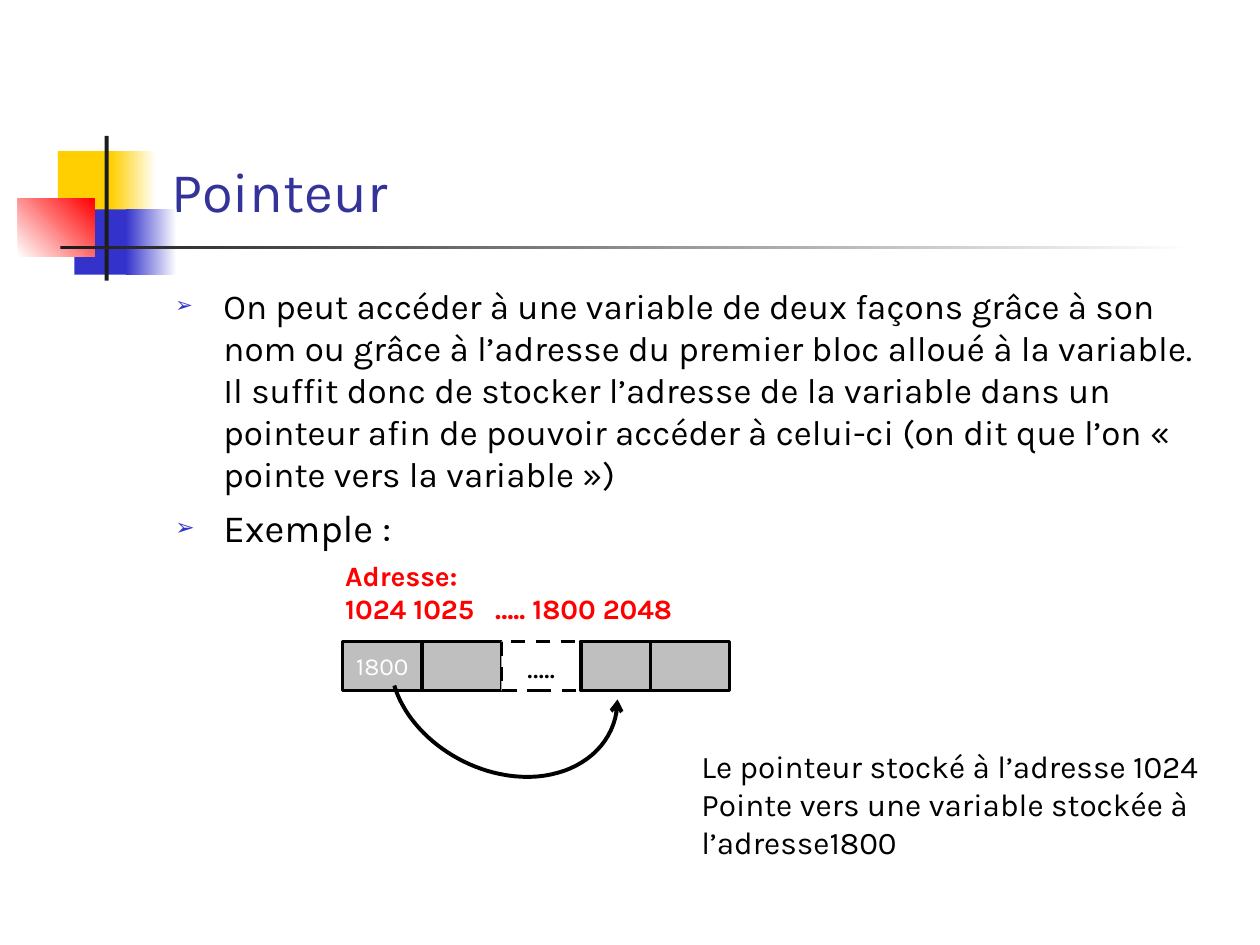
from dataclasses import dataclass
from typing import Optional

import pptx
import pptx.dml.color
import pptx.enum.dml
import pptx.enum.shapes
import pptx.enum.text
import pptx.oxml.ns
import pptx.util
from lxml import etree

Cm = pptx.util.Cm
Pt = pptx.util.Pt
RGBColor = pptx.dml.color.RGBColor
Anchor = pptx.enum.text.MSO_ANCHOR
Align = pptx.enum.text.PP_ALIGN
AutoSize = pptx.enum.text.MSO_AUTO_SIZE
qn = pptx.oxml.ns.qn

FONT = "Karla"
WHITE = RGBColor(0xFF, 0xFF, 0xFF)
BLACK = RGBColor(0, 0, 0)
CHARCOAL = RGBColor(0x1C, 0x1C, 0x1C)
YELLOW = RGBColor(0xFF, 0xCF, 0x01)
BLUE = RGBColor(0x33, 0x33, 0xCC)
RED = RGBColor(0xFF, 0, 0)
INDIGO = RGBColor(0x33, 0x33, 0x99)
GREY = RGBColor(0xBF, 0xBF, 0xBF)

CELL_TOP, CELL_WIDTH, CELL_HEIGHT = 12.93, 1.6, 0.99
CURVE_STEPS = 24


@dataclass
class Ornament:
    left: float
    top: float
    width: float
    height: float
    color: RGBColor
    fade_to: Optional[RGBColor] = None
    angle: float = 0


@dataclass
class MemoryCell:
    left: float
    text: str = ""
    size: float = 14
    fill: RGBColor = GREY
    text_color: RGBColor = WHITE
    dashed: bool = False


ORNAMENTS = [
    Ornament(1.17, 3.05, 1.22, 1.32, YELLOW),
    Ornament(2.24, 3.05, 0.91, 1.32, YELLOW, WHITE),
    Ornament(1.5, 4.22, 1.17, 1.32, BLUE),
    Ornament(2.54, 4.22, 1.02, 1.32, BLUE, WHITE),
    Ornament(0.36, 4.01, 1.55, 1.17, WHITE, RED, 45),
    Ornament(2.11, 2.74, 0.08, 2.92, CHARCOAL),
    Ornament(1.22, 4.95, 22.86, 0.08, CHARCOAL, WHITE),
]

CELLS = [
    MemoryCell(6.91, "1800"),
    MemoryCell(8.51),
    MemoryCell(10.11, "…..", 18, WHITE, BLACK, True),
    MemoryCell(11.71),
    MemoryCell(13.11),
]

ARROW_CURVES = [
    [(12.45, 14.1), (12.45, 15.19), (11.35, 15.88), (10.06, 15.6)],
    [(10.06, 15.6), (9.07, 15.39), (8.2, 14.66), (7.95, 13.82)],
]

BULLETS = [
    ("On peut accéder à une variable de deux façons grâce à son nom ou grâce à "
     "l’adresse du premier bloc alloué à la variable. Il suffit donc de stocker "
     "l’adresse de la variable dans un pointeur afin de pouvoir accéder à celui-ci "
     "(on dit que l’on « pointe vers la variable »)", 20, 5),
    ("Exemple :", 22, 5.5),
]


def write_text(para, text: str, *, size: float, color: RGBColor = BLACK,
               bold: bool = False, align=Align.LEFT, before: float = 0) -> None:
    para.alignment = align
    para.space_before = Pt(before)
    span = para.add_run()
    span.text = text
    span.font.name = FONT
    span.font.size = Pt(size)
    span.font.bold = bold
    span.font.color.rgb = color


def write_lines(frame, lines: list, **style) -> None:
    for index, line in enumerate(lines):
        para = frame.add_paragraph() if index else frame.paragraphs[0]
        write_text(para, line, **style)


def place(shape, left: float, top: float, width: float, height: float) -> None:
    shape.left, shape.top = Cm(left), Cm(top)
    shape.width, shape.height = Cm(width), Cm(height)


def add_box(page, left: float, top: float, width: float, height: float):
    box = page.shapes.add_shape(pptx.enum.shapes.MSO_SHAPE.RECTANGLE,
                                Cm(left), Cm(top), Cm(width), Cm(height))
    box.shadow.inherit = False
    return box


def add_ornament(page, item: Ornament) -> None:
    box = add_box(page, item.left, item.top, item.width, item.height)
    box.line.fill.background()
    if item.fade_to is None:
        box.fill.solid()
        box.fill.fore_color.rgb = item.color
        return
    box.fill.gradient()
    box.fill.gradient_angle = item.angle
    for stop, color in zip(box.fill.gradient_stops, (item.color, item.fade_to)):
        stop.color.rgb = color


def add_cell(page, cell: MemoryCell) -> None:
    box = add_box(page, cell.left, CELL_TOP, CELL_WIDTH, CELL_HEIGHT)
    box.fill.solid()
    box.fill.fore_color.rgb = cell.fill
    box.line.color.rgb = BLACK
    box.line.width = Pt(2)
    if cell.dashed:
        box.line.dash_style = pptx.enum.dml.MSO_LINE.DASH
    if cell.text:
        box.text_frame.vertical_anchor = Anchor.MIDDLE
        write_text(box.text_frame.paragraphs[0], cell.text, size=cell.size,
                   color=cell.text_color, align=Align.CENTER)


def curve_point(controls: list, t: float) -> tuple:
    weights = ((1 - t) ** 3, 3 * t * (1 - t) ** 2, 3 * t ** 2 * (1 - t), t ** 3)
    return tuple(Cm(sum(weight * point[axis] for weight, point in zip(weights, controls)))
                 for axis in (0, 1))


def add_pointer_arrow(page) -> None:
    points = [curve_point(controls, step / CURVE_STEPS)
              for controls in ARROW_CURVES for step in range(CURVE_STEPS + 1)]
    builder = page.shapes.build_freeform(*points[0])
    builder.add_line_segments(points[1:], close=False)
    arrow = builder.convert_to_shape()
    arrow.shadow.inherit = False
    arrow.fill.background()
    arrow.line.color.rgb = BLACK
    arrow.line.width = Pt(2.25)
    etree.SubElement(arrow.line._get_or_add_ln(), qn("a:headEnd"), type="arrow")


def add_bullet(para) -> None:
    properties = para._p.get_or_add_pPr()
    properties.set("marL", str(Cm(0.97)))
    properties.set("indent", str(-Cm(0.97)))
    color = etree.SubElement(properties, qn("a:buClr"))
    etree.SubElement(color, qn("a:srgbClr"), val=str(BLUE))
    etree.SubElement(properties, qn("a:buSzPct"), val="60000")
    etree.SubElement(properties, qn("a:buChar"), char="➢")


def add_tab_stop(para, position: float) -> None:
    stops = etree.SubElement(para._p.get_or_add_pPr(), qn("a:tabLst"))
    etree.SubElement(stops, qn("a:tab"), pos=str(Cm(position)), algn="l")


def add_label(page, left: float, top: float, width: float, height: float,
              lines: list, *, wrap: bool, **style):
    frame = page.shapes.add_textbox(Cm(left), Cm(top), Cm(width), Cm(height)).text_frame
    frame.word_wrap = wrap
    frame.auto_size = AutoSize.SHAPE_TO_FIT_TEXT
    write_lines(frame, lines, **style)
    return frame


def fill_placeholders(page) -> None:
    title, body = page.shapes.title, page.placeholders[1]
    place(title, 3.2, 0.58, 21.64, 4.06)
    title.text_frame.vertical_anchor = Anchor.BOTTOM
    write_text(title.text_frame.paragraphs[0], "Pointeur", size=32, color=INDIGO)
    place(body, 3.28, 5.61, 21.59, 11.43)
    for index, (text, size, before) in enumerate(BULLETS):
        para = body.text_frame.add_paragraph() if index else body.text_frame.paragraphs[0]
        write_text(para, text, size=size, before=before)
        add_bullet(para)
    for shape in (title, body):
        shape.text_frame.auto_size = AutoSize.NONE


def main() -> None:
    deck = pptx.Presentation()
    deck.slide_width, deck.slide_height = Cm(25.4), Cm(19.05)
    page = deck.slides.add_slide(deck.slide_layouts[1])
    for item in ORNAMENTS:
        add_ornament(page, item)
    fill_placeholders(page)
    addresses = add_label(page, 6.71, 11.13, 8.81, 1.63,
                          ["Adresse:", "1024 1025\t….. 1800 2048"],
                          wrap=True, size=16, color=RED, bold=True)
    add_tab_stop(addresses.paragraphs[1], 3.02)
    for cell in CELLS:
        add_cell(page, cell)
    add_pointer_arrow(page)
    add_label(page, 13.89, 14.94, 10.92, 2.54,
              ["Le pointeur stocké à l’adresse 1024",
               "Pointe vers une variable stockée à", "l’adresse1800"],
              wrap=False, size=18)
    deck.save("out.pptx")


if __name__ == "__main__":
    main()
